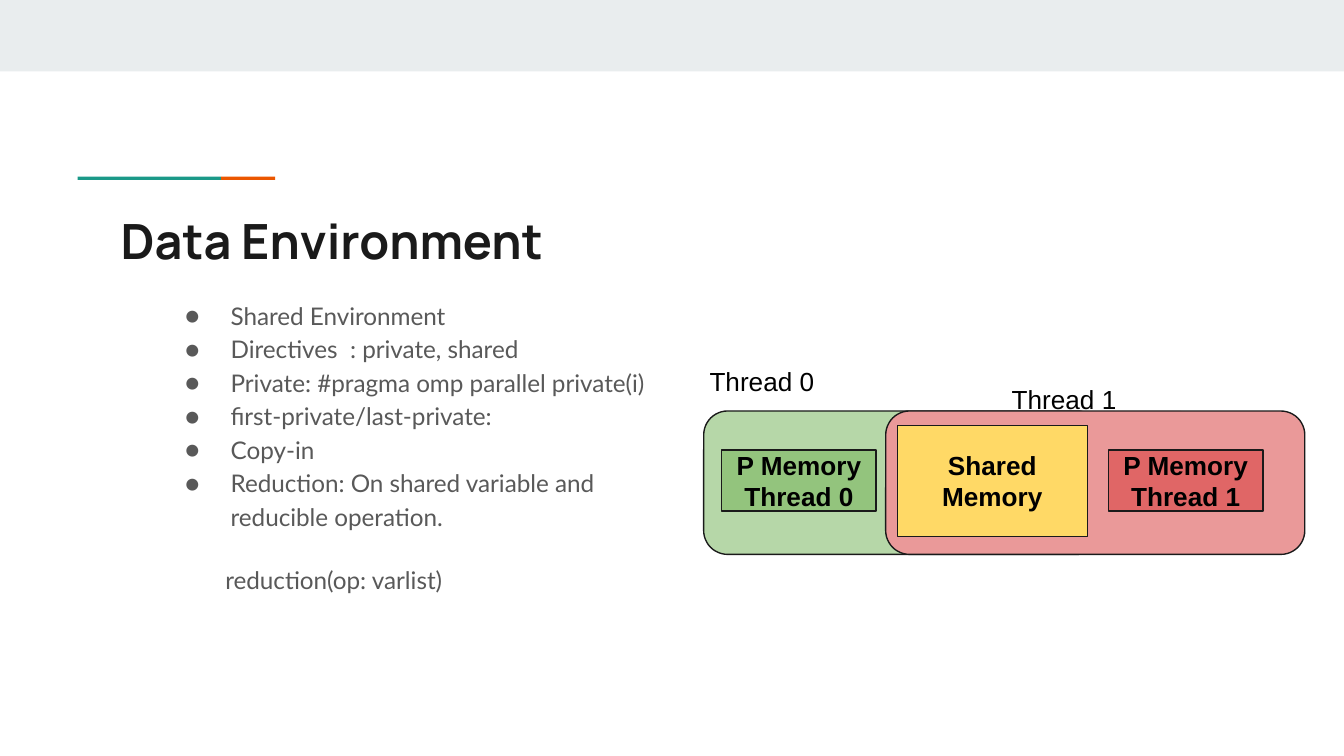
from pptx import Presentation
from pptx.dml.color import RGBColor
from pptx.enum.shapes import MSO_SHAPE
from pptx.enum.text import MSO_ANCHOR, PP_ALIGN
from pptx.oxml.ns import qn
from pptx.util import Cm, Pt
from lxml.etree import SubElement

THEME = {
    "band": "E9EDEE", "teal": "1A9988", "orange": "EB5600", "outline": "1A1A1A",
    "thread0": "B6D7A8", "thread1": "EA9999", "shared": "FFD966",
    "private0": "93C47D", "private1": "E06666",
    "title": {"name": "Manrope", "size": Pt(26), "bold": True, "color": "1A1A1A"},
    "body": {"name": "Lato", "size": Pt(13), "bold": False, "color": "595959"},
    "label": {"name": "Arial", "size": Pt(14), "bold": False, "color": "000000"},
    "memory": {"name": "Arial", "size": Pt(14), "bold": True, "color": "000000"},
}


def add_box(kind, at, fill, outlined=False):
    sp = s.shapes.add_shape(kind, *map(Cm, at))
    sp.shadow.inherit = False
    sp.fill.solid()
    sp.fill.fore_color.rgb = RGBColor.from_string(THEME[fill])
    if outlined:
        sp.line.color.rgb = RGBColor.from_string(THEME["outline"])
        sp.line.width = Pt(0.75)
    else:
        sp.line.fill.background()
    return sp


def write(sp, lines, style, anchor=MSO_ANCHOR.TOP, align=PP_ALIGN.LEFT):
    tf = sp.text_frame
    frame = {"word_wrap": True, "vertical_anchor": anchor}
    frame.update({f"margin_{side}": Cm(0.25) for side in ("left", "top", "right", "bottom")})
    for name, value in frame.items():
        setattr(tf, name, value)
    for i, line in enumerate(lines):
        p = tf.paragraphs[0] if i == 0 else tf.add_paragraph()
        p.alignment = align
        r = p.add_run()
        r.text = line
        for name, value in THEME[style].items():
            if name == "color":
                r.font.color.rgb = RGBColor.from_string(value)
            else:
                setattr(r.font, name, value)
    return tf.paragraphs


prs = Presentation()
prs.slide_width, prs.slide_height = Cm(25.4), Cm(14.29)
s = prs.slides.add_slide(prs.slide_layouts[6])

for at, fill in [
    ((0, 0, 25.4, 1.35), "band"),
    ((1.47, 3.34, 2.71, 0.06), "teal"),
    ((4.18, 3.34, 1.02, 0.06), "orange"),
]:
    add_box(MSO_SHAPE.RECTANGLE, at, fill)

for at, text, style in [
    ((2.03, 3.73, 21.36, 1.5), "Data Environment", "title"),
    ((18.87, 6.99, 3.84, 0.56), "Thread 1", "label"),
    ((13.16, 6.65, 3.2, 0.89), "Thread 0", "label"),
]:
    write(s.shapes.add_textbox(*map(Cm, at)), [text], style)

bullets = [
    "Shared Environment",
    "Directives  : private, shared",
    "Private: #pragma omp parallel private(i)",
    "first-private/last-private:",
    "Copy-in",
    "Reduction: On shared variable and reducible operation.",
]
body = s.shapes.add_textbox(Cm(2.84), Cm(5.36), Cm(9.91), Cm(6.68))
paragraphs = write(body, bullets + ["reduction(op: varlist)"], "body")
for p in paragraphs:
    p.line_spacing = 1.15
for p in paragraphs[:-1]:
    pPr = p._p.get_or_add_pPr()
    pPr.set("marL", str(Cm(1.27)))
    pPr.set("indent", str(-Cm(0.86)))
    color = SubElement(pPr, qn("a:buClr"))
    SubElement(color, qn("a:srgbClr"), val=THEME["body"]["color"])
    SubElement(pPr, qn("a:buFont"), typeface="Lato")
    SubElement(pPr, qn("a:buChar"), char="●")
syntax = paragraphs[-1]
syntax.space_before = syntax.space_after = Pt(16)
syntax._p.get_or_add_pPr().set("marL", str(Cm(1.17)))

for left, width, fill in [(13.3, 7.52, "thread0"), (16.74, 7.92, "thread1")]:
    add_box(MSO_SHAPE.ROUNDED_RECTANGLE, (left, 7.77, width, 2.71), fill, True)

for at, fill, text in [
    ((16.96, 8.04, 3.59, 2.1), "shared", "Shared Memory"),
    ((20.95, 8.51, 2.92, 1.15), "private1", "P Memory Thread 1"),
    ((13.64, 8.51, 2.92, 1.15), "private0", "P Memory Thread 0"),
]:
    sp = add_box(MSO_SHAPE.RECTANGLE, at, fill, True)
    write(sp, [text], "memory", MSO_ANCHOR.MIDDLE, PP_ALIGN.CENTER)

prs.save("out.pptx")
